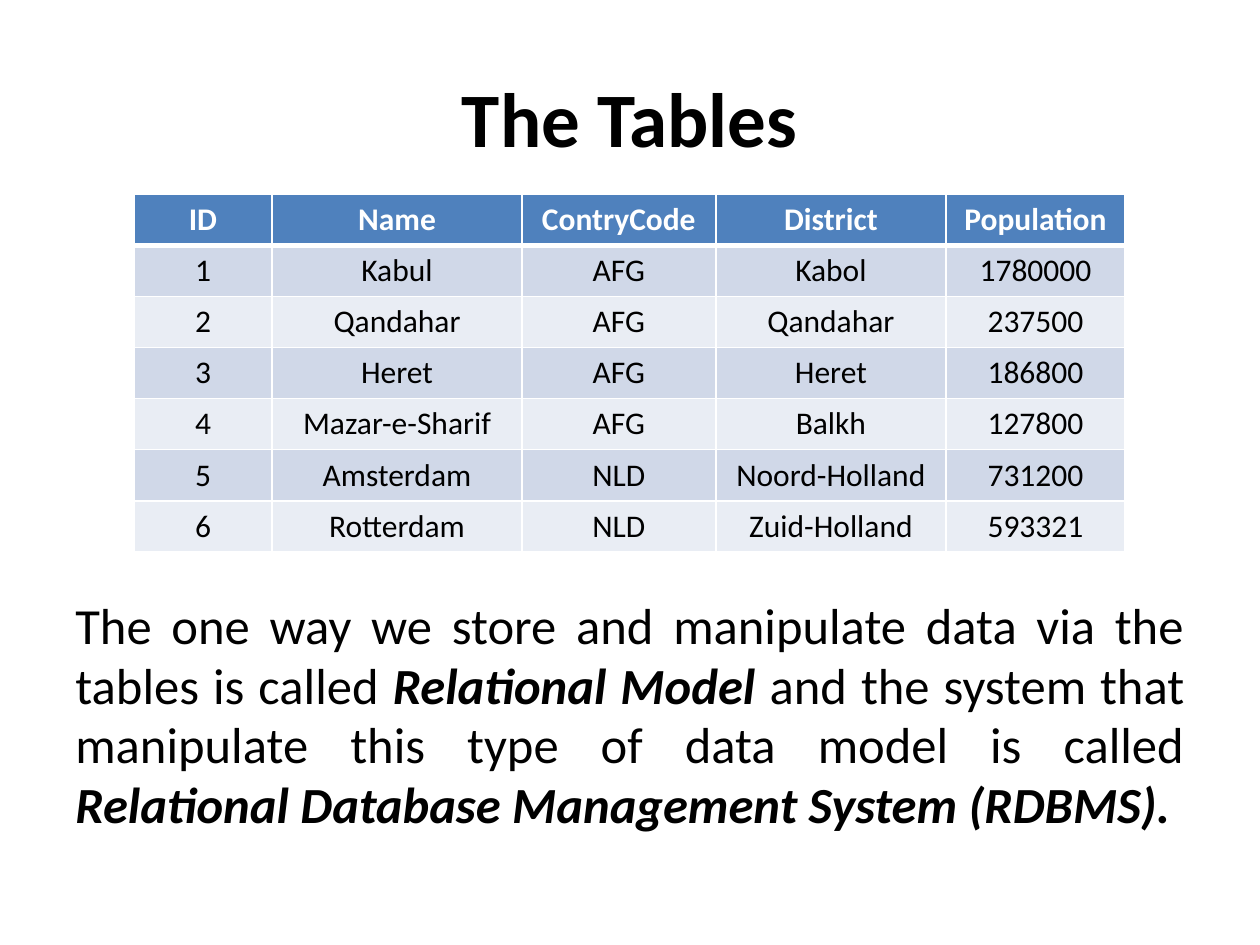
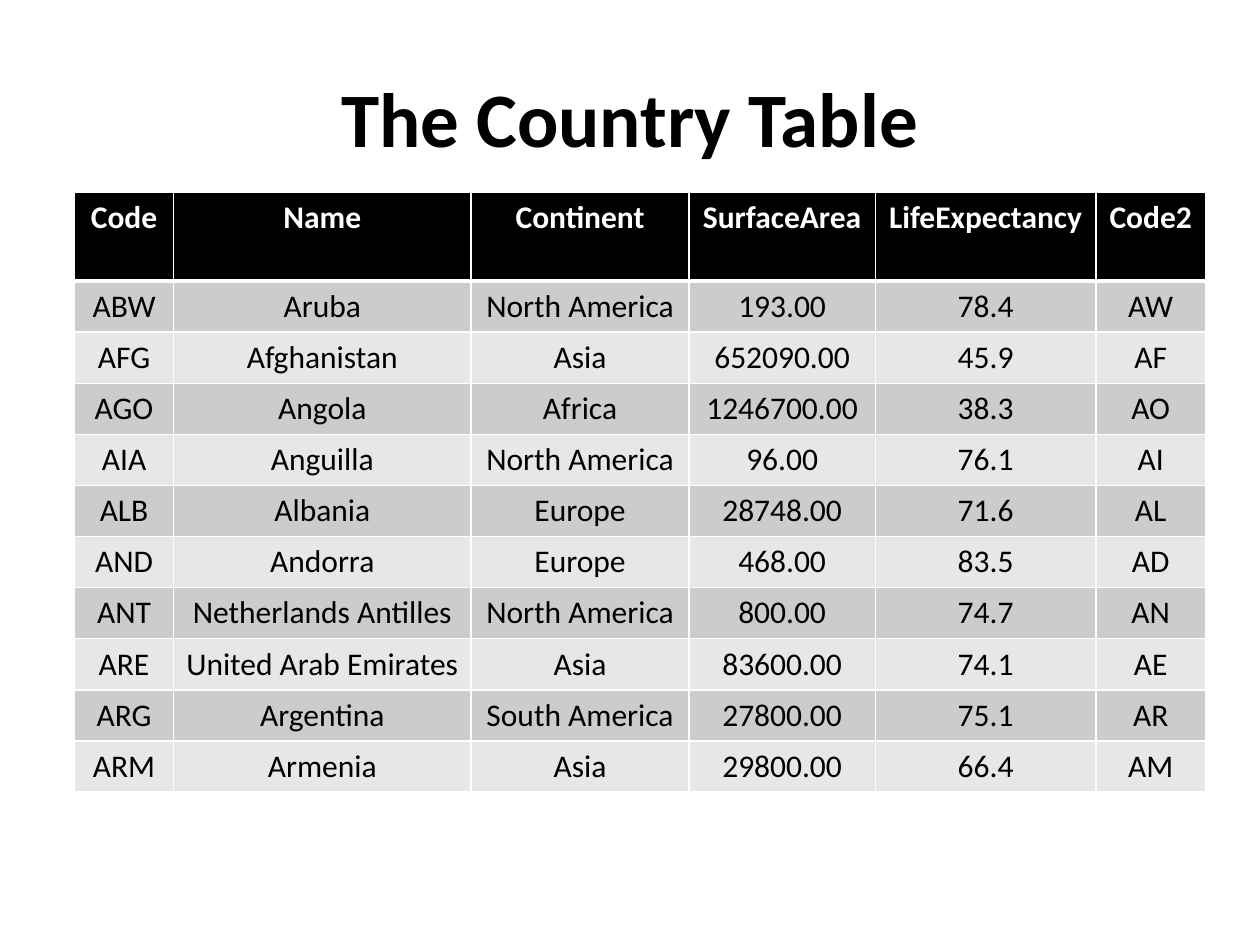
"""Build two slides that show database tables and explain the relational model."""
from lxml import etree
from pptx import Presentation
from pptx import util as u
from pptx.dml import color
from pptx.enum import text
from pptx.oxml import ns

FONT = "Calibri"
COLORS = {
    "black": "000000", "white": "FFFFFF", "blue": "4F81BD",
    "blue_dark_band": "D0D8E8", "blue_light_band": "E9EDF4",
    "gray_dark_band": "CCCCCC", "gray_light_band": "E7E7E7",
}
ROW_HEIGHT = 29.2

TABLE_SLIDES = [
    {
        "title": "The Tables",
        "left": 76.5, "top": 111, "header_height": ROW_HEIGHT,
        "widths": [79, 142.8, 110.8, 131.6, 102.2],
        "fills": ["blue", "blue_dark_band", "blue_light_band"],
        "rows": [
            ["ID", "Name", "ContryCode", "District", "Population"],
            ["1", "Kabul", "AFG", "Kabol", "1780000"],
            ["2", "Qandahar", "AFG", "Qandahar", "237500"],
            ["3", "Heret", "AFG", "Heret", "186800"],
            ["4", "Mazar-e-Sharif", "AFG", "Balkh", "127800"],
            ["5", "Amsterdam", "NLD", "Noord-Holland", "731200"],
            ["6", "Rotterdam", "NLD", "Zuid-Holland", "593321"],
        ],
        "body": [
            ("The one way we store and manipulate data via the tables is called ", False),
            ("Relational Model ", True),
            ("and the system that manipulate this type of data model is called ", False),
            ("Relational Database Management System (RDBMS).", True),
        ],
    },
    {
        "title": "The Country Table",
        "left": 42.6, "top": 110, "header_height": 50.6,
        "widths": [56.6, 170, 124.6, 106.4, 126.2, 62.4],
        "fills": ["black", "gray_dark_band", "gray_light_band"],
        "rows": [
            ["Code", "Name", "Continent", "SurfaceArea", "LifeExpectancy", "Code2"],
            ["ABW", "Aruba", "North America", "193.00", "78.4", "AW"],
            ["AFG", "Afghanistan", "Asia", "652090.00", "45.9", "AF"],
            ["AGO", "Angola", "Africa", "1246700.00", "38.3", "AO"],
            ["AIA", "Anguilla", "North America", "96.00", "76.1", "AI"],
            ["ALB", "Albania", "Europe", "28748.00", "71.6", "AL"],
            ["AND", "Andorra", "Europe", "468.00", "83.5", "AD"],
            ["ANT", "Netherlands Antilles", "North America", "800.00", "74.7", "AN"],
            ["ARE", "United Arab Emirates", "Asia", "83600.00", "74.1", "AE"],
            ["ARG", "Argentina", "South America", "27800.00", "75.1", "AR"],
            ["ARM", "Armenia", "Asia", "29800.00", "66.4", "AM"],
        ],
        "body": [],
    },
]


def add_span(para, words, size, fill="black", bold=False, italic=False):
    span = para.add_run()
    span.text = words
    span.font.name = FONT
    span.font.size = u.Pt(size)
    span.font.bold = bold
    span.font.italic = italic
    span.font.color.rgb = color.RGBColor.from_string(COLORS[fill])


def add_border(cell, side, width):
    properties = cell._tc.get_or_add_tcPr()
    line = etree.SubElement(properties, ns.qn(f"a:ln{side}"), w=str(u.Pt(width)))
    solid = etree.SubElement(line, ns.qn("a:solidFill"))
    etree.SubElement(solid, ns.qn("a:srgbClr"), val=COLORS["white"])


deck = Presentation()
deck.slide_width = u.Pt(720)
deck.slide_height = u.Pt(540)

for content in TABLE_SLIDES:
    page = deck.slides.add_slide(deck.slide_layouts[6])

    title = page.shapes.add_textbox(u.Pt(36), u.Pt(21.6), u.Pt(648), u.Pt(90))
    title.text_frame.word_wrap = True
    title.text_frame.vertical_anchor = text.MSO_ANCHOR.MIDDLE
    para = title.text_frame.paragraphs[0]
    para.alignment = text.PP_ALIGN.CENTER
    add_span(para, content["title"], 44, bold=True)

    if content["body"]:
        body = page.shapes.add_textbox(u.Pt(36), u.Pt(337.7), u.Pt(648), u.Pt(144))
        body.text_frame.word_wrap = True
        para = body.text_frame.paragraphs[0]
        para.alignment = text.PP_ALIGN.JUSTIFY
        para.space_before = u.Pt(4)
        para.line_spacing = 0.98
        for words, is_term in content["body"]:
            add_span(para, words, 28.9, bold=is_term, italic=is_term)

    rows, widths = content["rows"], content["widths"]
    heights = [content["header_height"]] + [ROW_HEIGHT] * (len(rows) - 1)
    table = page.shapes.add_table(
        len(rows), len(widths), u.Pt(content["left"]), u.Pt(content["top"]),
        u.Pt(sum(widths)), u.Pt(sum(heights))).table
    table.horz_banding = False
    for column, width in zip(table.columns, widths):
        column.width = u.Pt(width)

    header_fill, *band_fills = content["fills"]
    for row_index, values in enumerate(rows):
        table.rows[row_index].height = u.Pt(heights[row_index])
        is_header = row_index == 0
        fill = header_fill if is_header else band_fills[(row_index - 1) % 2]
        borders = {"L": 1, "R": 1, "T": 3 if row_index == 1 else 1, "B": 3 if is_header else 1}
        for column_index, value in enumerate(values):
            cell = table.cell(row_index, column_index)
            for side, width in borders.items():
                add_border(cell, side, width)
            cell.fill.solid()
            cell.fill.fore_color.rgb = color.RGBColor.from_string(COLORS[fill])
            para = cell.text_frame.paragraphs[0]
            para.alignment = text.PP_ALIGN.CENTER
            add_span(para, value, 18, "white" if is_header else "black", bold=is_header)

deck.save("out.pptx")
